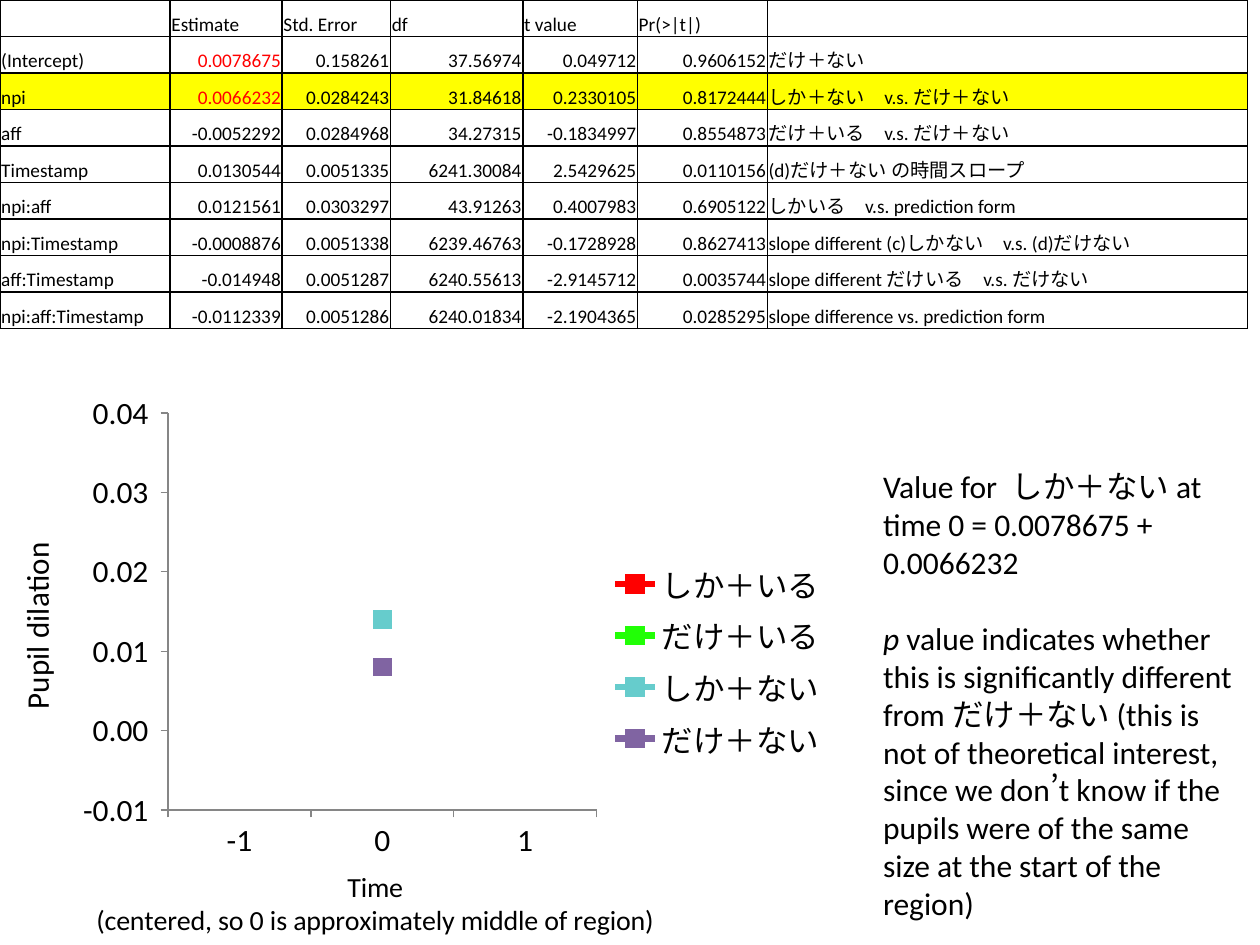
"""Builds a slide with a regression table, a pupil dilation chart and a reading note."""
from dataclasses import dataclass

from lxml import etree
from pptx import Presentation
from pptx.chart.data import CategoryChartData
from pptx.dml.color import RGBColor
from pptx.enum.chart import (XL_AXIS_CROSSES, XL_CHART_TYPE, XL_LEGEND_POSITION,
                             XL_MARKER_STYLE, XL_TICK_LABEL_POSITION, XL_TICK_MARK)
from pptx.enum.lang import MSO_LANGUAGE_ID
from pptx.enum.text import MSO_ANCHOR, PP_ALIGN
from pptx.oxml import parse_xml
from pptx.oxml.ns import nsdecls, qn
from pptx.util import Inches, Pt

BOTTOM, LEFT, RIGHT = MSO_ANCHOR.BOTTOM, PP_ALIGN.LEFT, PP_ALIGN.RIGHT
LINE_MARKERS, SQUARE = XL_CHART_TYPE.LINE_MARKERS, XL_MARKER_STYLE.SQUARE
LEGEND_RIGHT, AXIS_MINIMUM = XL_LEGEND_POSITION.RIGHT, XL_AXIS_CROSSES.MINIMUM
TICK_OUTSIDE, LABELS_LOW = XL_TICK_MARK.OUTSIDE, XL_TICK_LABEL_POSITION.LOW
JAPANESE = MSO_LANGUAGE_ID.JAPANESE


@dataclass(frozen=True)
class Theme:
    font: str = "Calibri"
    text: str = "000000"
    estimate: str = "FF0000"
    highlight: str = "FFFF00"
    axis: str = "868686"
    table_size: int = 11
    body_size: int = 18
    caption_size: int = 16


THEME = Theme()

ROWS = [
    ("", "Estimate", "Std. Error", "df", "t value", "Pr(>|t|)", ""),
    ("(Intercept)", "0.0078675", "0.158261", "37.56974", "0.049712", "0.9606152",
     "だけ＋ない"),
    ("npi", "0.0066232", "0.0284243", "31.84618", "0.2330105", "0.8172444",
     "しか＋ない　v.s. だけ＋ない"),
    ("aff", "-0.0052292", "0.0284968", "34.27315", "-0.1834997", "0.8554873",
     "だけ＋いる　v.s. だけ＋ない"),
    ("Timestamp", "0.0130544", "0.0051335", "6241.30084", "2.5429625", "0.0110156",
     "(d)だけ＋ない の時間スロープ"),
    ("npi:aff", "0.0121561", "0.0303297", "43.91263", "0.4007983", "0.6905122",
     "しかいる　v.s. prediction form"),
    ("npi:Timestamp", "-0.0008876", "0.0051338", "6239.46763", "-0.1728928", "0.8627413",
     "slope different (c)しかない　v.s. (d)だけない"),
    ("aff:Timestamp", "-0.014948", "0.0051287", "6240.55613", "-2.9145712", "0.0035744",
     "slope different だけいる　v.s. だけない"),
    ("npi:aff:Timestamp", "-0.0112339", "0.0051286", "6240.01834", "-2.1904365",
     "0.0285295", "slope difference vs. prediction form"),
]
COLUMN_WIDTHS = [1.35, 0.89, 0.86, 1.05, 0.91, 1.03, 3.81]
ROW_HEIGHT = 0.29
HIGHLIGHT_ROW = 2
ESTIMATE_CELLS = {(1, 1), (2, 1)}

TIMES = [-1, 0, 1]
SERIES = [
    ("しか＋いる", (None, None, None), "FF0000"),
    ("だけ＋いる", (None, None, None), "21FF06"),
    ("しか＋ない", (None, 0.014, None), "66CCCC"),
    ("だけ＋ない", (None, 0.008, None), "8064A2"),
]
TIME_TITLE = ["Time", "(centered, so 0 is approximately middle of region)"]
DILATION_TITLE = ["Pupil dilation"]
PLOT_AREA = {"layoutTarget": "inner", "xMode": "edge", "yMode": "edge",
             "x": 0.2, "y": 0.05, "w": 0.51, "h": 0.72}
TIME_TITLE_AREA = {"xMode": "edge", "yMode": "edge", "x": 0.11, "y": 0.87}

NOTE = [
    [("Value for  しか＋ない at time 0 = 0.0078675 + 0.0066232", False)],
    [("p", True),
     (" value indicates whether this is significantly different from だけ＋ない "
      "(this is not of theoretical interest, since we don’t know if the pupils "
      "were of the same size at the start of the region)", False)],
]


def style_font(font, size, color=THEME.text):
    font.name, font.size, font.bold = THEME.font, Pt(size), False
    font.color.rgb = RGBColor.from_string(color)


def add_borders(cell):
    properties = cell._tc.get_or_add_tcPr()
    for position, side in enumerate(("lnL", "lnR", "lnT", "lnB")):
        properties.insert(position, parse_xml(
            f'<a:{side} {nsdecls("a")} w="12700"><a:solidFill>'
            f'<a:srgbClr val="{THEME.text}"/></a:solidFill></a:{side}>'))


def fill_cell(cell, text, row, column):
    cell.text = text
    cell.vertical_anchor = BOTTOM
    cell.margin_left = cell.margin_right = cell.margin_top = Inches(0.01)
    cell.margin_bottom = 0
    numeric = row > 0 and 0 < column < len(COLUMN_WIDTHS) - 1
    para = cell.text_frame.paragraphs[0]
    para.alignment = RIGHT if numeric else LEFT
    color = THEME.estimate if (row, column) in ESTIMATE_CELLS else THEME.text
    style_font(para.font, THEME.table_size, color)
    if row == HIGHLIGHT_ROW:
        cell.fill.solid()
        cell.fill.fore_color.rgb = RGBColor.from_string(THEME.highlight)
    else:
        cell.fill.background()
    add_borders(cell)


def add_results_table(page):
    table = page.shapes.add_table(
        len(ROWS), len(COLUMN_WIDTHS), 0, 0,
        Inches(sum(COLUMN_WIDTHS)), Inches(ROW_HEIGHT * len(ROWS))).table
    table.first_row = table.horz_banding = False
    for column, width in zip(table.columns, COLUMN_WIDTHS):
        column.width = Inches(width)
    for row, texts in enumerate(ROWS):
        table.rows[row].height = Inches(ROW_HEIGHT)
        for column, text in enumerate(texts):
            fill_cell(table.cell(row, column), text, row, column)


def style_axis(axis, title, size):
    frame = axis.axis_title.text_frame
    frame.text = "\n".join(title)
    for para in frame.paragraphs:
        style_font(para.font, size)
    axis.has_major_gridlines = False
    axis.major_tick_mark = TICK_OUTSIDE
    axis.tick_label_position = LABELS_LOW
    axis.format.line.color.rgb = RGBColor.from_string(THEME.axis)


def place(parent, position, settings):
    for old_layout in parent.findall(qn("c:layout")):
        parent.remove(old_layout)
    layout = etree.Element(qn("c:layout"))
    manual = etree.SubElement(layout, qn("c:manualLayout"))
    for tag, value in settings.items():
        etree.SubElement(manual, qn(f"c:{tag}")).set("val", str(value))
    parent.insert(position, layout)


def add_dilation_chart(page):
    data = CategoryChartData()
    data.categories = TIMES
    for name, values, _ in SERIES:
        data.add_series(name, values)
    chart = page.shapes.add_chart(
        LINE_MARKERS, 0, Inches(3.06), Inches(6.67), Inches(4.44), data).chart
    chart.chart_style = 18
    style_font(chart.font, THEME.body_size)
    chart.has_title = False
    chart.has_legend = True
    chart.legend.position = LEGEND_RIGHT
    chart.legend.include_in_layout = False
    style_axis(chart.category_axis, TIME_TITLE, THEME.caption_size)
    dilation = chart.value_axis
    style_axis(dilation, DILATION_TITLE, THEME.body_size)
    dilation.minimum_scale, dilation.maximum_scale = -0.01, 0.04
    dilation.major_unit = 0.01
    dilation.crosses = AXIS_MINIMUM
    dilation.tick_labels.number_format = "0.00_ "
    dilation.tick_labels.number_format_is_linked = False
    for series, (_, _, color) in zip(chart.plots[0].series, SERIES):
        shade = RGBColor.from_string(color)
        series.smooth = False
        series.format.line.color.rgb = shade
        series.marker.style, series.marker.size = SQUARE, 10
        series.marker.format.fill.solid()
        series.marker.format.fill.fore_color.rgb = shade
        series.marker.format.line.color.rgb = shade
    place(chart._chartSpace.chart.plotArea, 0, PLOT_AREA)
    place(chart.category_axis.axis_title._element, 1, TIME_TITLE_AREA)


def add_note(page):
    box = page.shapes.add_textbox(Inches(6.91), Inches(3.66), Inches(2.98), Inches(3.74))
    frame = box.text_frame
    frame.word_wrap = True
    for index, spans in enumerate(NOTE):
        para = frame.add_paragraph() if index else frame.paragraphs[0]
        style_font(para.font, THEME.body_size)
        para.space_before = Pt(22 if index else 0)
        for text, italic in spans:
            span = para.add_run()
            span.text, span.font.italic = text, italic
            span.font.language_id = JAPANESE


deck = Presentation()
deck.slide_width, deck.slide_height = Inches(10), Inches(7.5)
page = deck.slides.add_slide(deck.slide_layouts[6])
add_results_table(page)
add_note(page)
add_dilation_chart(page)
deck.save("out.pptx")
